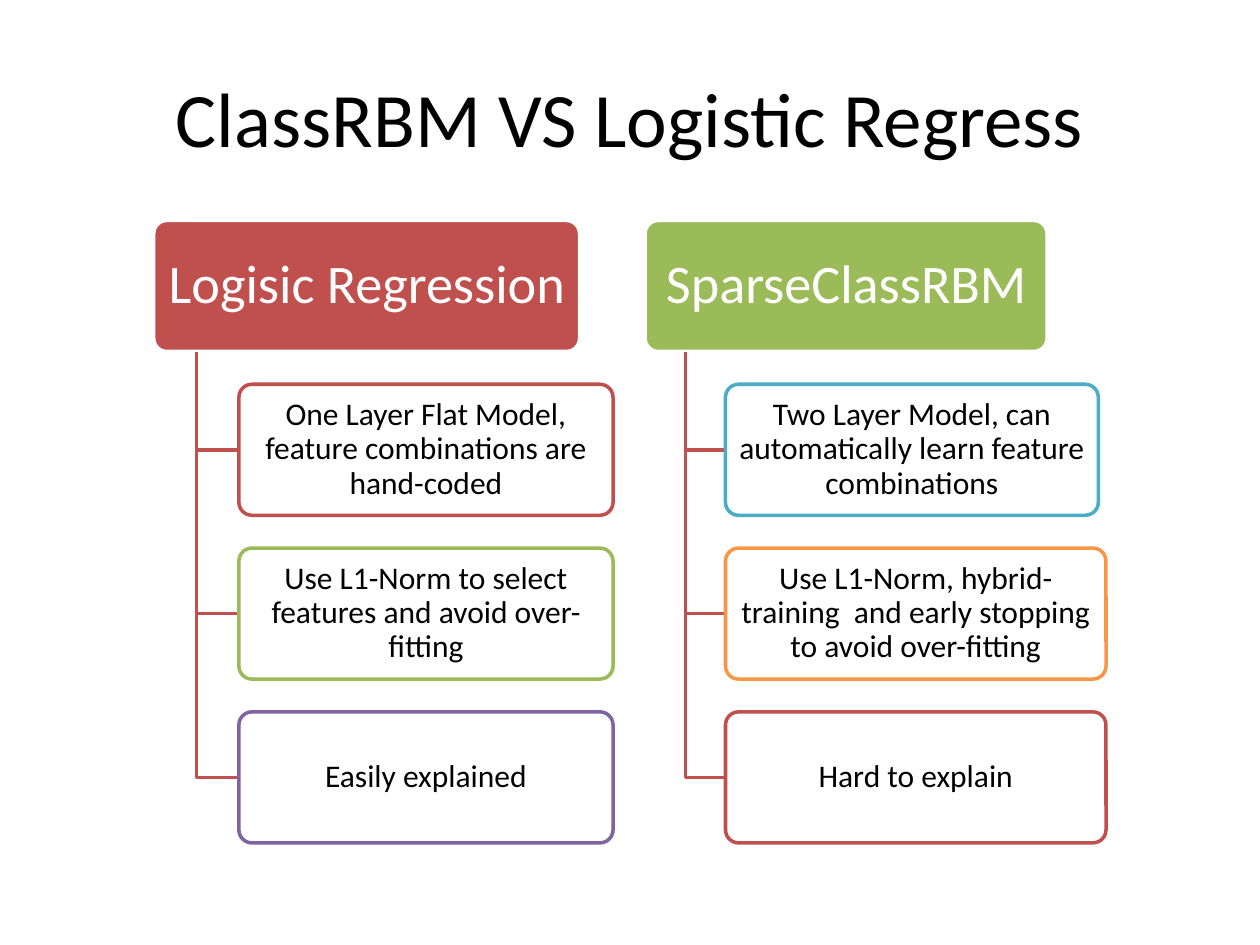
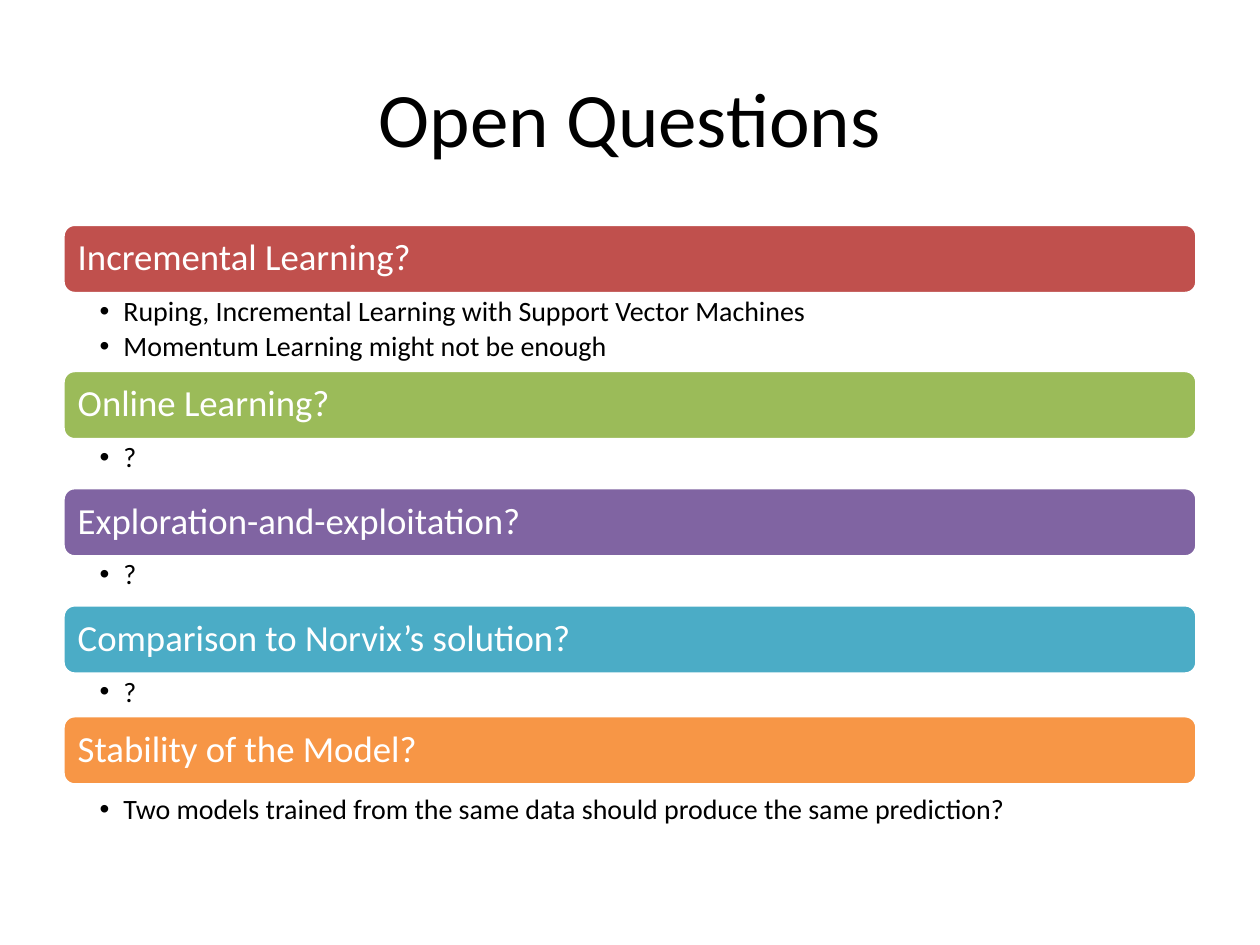
from pptx import Presentation
from pptx.dml.color import RGBColor as RGB
from pptx.enum.shapes import MSO_SHAPE as Shape
from pptx.enum.text import MSO_ANCHOR as Anchor, PP_ALIGN as Align
from pptx.oxml.ns import qn
from pptx.util import Inches, Pt
from lxml.etree import SubElement

FONT = "Calibri"
BLACK = RGB(0x00, 0x00, 0x00)
WHITE = RGB(0xFF, 0xFF, 0xFF)
RED = RGB(0xC0, 0x50, 0x4D)
GREEN = RGB(0x9B, 0xBB, 0x59)
PURPLE = RGB(0x80, 0x64, 0xA2)
TEAL = RGB(0x4B, 0xAC, 0xC6)
ORANGE = RGB(0xF7, 0x96, 0x46)

# Comparison trees: box height, top of the heads, distance between rows
BOX, HEAD, STEP = 1.04, 1.75, 1.3
# Question bars: height and top of the first one
BAR, FIRST = 0.55, 1.78


def add_slide(prs, title):
    slide = prs.slides.add_slide(prs.slide_layouts[5])
    head = slide.shapes.title
    head.left, head.top = Inches(0.5), Inches(0.3)
    head.width, head.height = Inches(9), Inches(1.25)
    frame = head.text_frame
    frame.text = title
    frame.vertical_anchor = Anchor.MIDDLE
    style(frame.paragraphs[0], 44, BLACK, Align.CENTER, 1.0)
    return slide


def style(para, size, color, align=Align.LEFT, lines=0.9):
    para.alignment = align
    para.line_spacing = lines
    for run in para.runs:
        run.font.name = FONT
        run.font.size = Pt(size)
        run.font.color.rgb = color


def inset(frame, left, top, right, low):
    frame.word_wrap = True
    frame.margin_left, frame.margin_top = Inches(left), Inches(top)
    frame.margin_right, frame.margin_bottom = Inches(right), Inches(low)


def add_box(slide, at, text, size, fill, line, color, pads, align, round_=0.1):
    """Rounded rectangle with its own text; pads are side and top insets."""
    box = slide.shapes.add_shape(Shape.ROUNDED_RECTANGLE, *map(Inches, at))
    box.shadow.inherit = False
    box.adjustments[0] = round_
    box.fill.solid()
    box.fill.fore_color.rgb = fill
    box.line.color.rgb = line
    box.line.width = Pt(2)
    frame = box.text_frame
    inset(frame, *pads, *pads)
    frame.vertical_anchor = Anchor.MIDDLE
    frame.text = text
    style(frame.paragraphs[0], size, color, align)


def add_elbow(slide, x, top, end, low):
    """Line down from (x, top), then right to (end, low)."""
    pen = slide.shapes.build_freeform(Inches(x), Inches(top))
    pen.add_line_segments([(Inches(x), Inches(low)),
                           (Inches(end), Inches(low))], close=False)
    elbow = pen.convert_to_shape()
    elbow.shadow.inherit = False
    elbow.fill.background()
    elbow.line.color.rgb = RED
    elbow.line.width = Pt(2)


def add_tree(slide, left, width, name, color, points):
    """Head box with a column of linked points (text, width, line colour)."""
    add_box(slide, (left, HEAD, width, BOX), name, 31, color, WHITE, WHITE,
            (0.06, 0.04), Align.CENTER)
    stem, edge = left + width / 10, left + width / 5
    for row, (text, wide, line) in enumerate(points, 1):
        top = HEAD + row * STEP
        add_elbow(slide, stem, HEAD + BOX, edge, top + BOX / 2)
        add_box(slide, (edge, top, wide, BOX), text, 18, WHITE, line, BLACK,
                (0.04, 0.03), Align.CENTER)


def add_list(slide, top, height, items):
    box = slide.shapes.add_textbox(Inches(0.5), Inches(top),
                                   Inches(9), Inches(height))
    frame = box.text_frame
    inset(frame, 0.29, 0.03, 0.16, 0.03)
    frame.text = "\n".join(items)
    for para in frame.paragraphs:
        props = para._p.get_or_add_pPr()
        props.set("marL", str(Inches(0.19)))
        props.set("indent", str(-Inches(0.19)))
        SubElement(props, qn("a:buFont")).set("typeface", "Arial")
        SubElement(props, qn("a:buChar")).set("char", "•")
        style(para, 16, BLACK)
        para.space_after = Pt(3)


def add_asks(slide, asks):
    """Stack of bars, each followed by its list; lift raises one bar."""
    top = FIRST
    for name, color, lift, items in asks:
        add_box(slide, (0.5, top - lift, 9, BAR), name, 21, color, WHITE,
                WHITE, (0.09, 0.09), Align.LEFT, 0.17)
        height = 0.15 + 0.23 * len(items)
        add_list(slide, top + BAR, height, items)
        top += BAR + height


def main():
    prs = Presentation()
    prs.slide_width, prs.slide_height = Inches(10), Inches(7.5)

    slide = add_slide(prs, "ClassRBM VS Logistic Regress")
    add_tree(slide, 1.22, 3.38, "Logisic Regression", RED, [
        ("One Layer Flat Model, feature combinations are hand-coded",
         2.97, RED),
        ("Use L1-Norm to select features and avoid over-fitting",
         2.97, GREEN),
        ("Easily explained", 2.97, PURPLE),
    ])
    add_tree(slide, 5.12, 3.19, "SparseClassRBM", GREEN, [
        ("Two Layer Model, can automatically learn feature combinations",
         2.96, TEAL),
        ("Use L1-Norm, hybrid-training  and early stopping "
         "to avoid over-fitting", 3.02, ORANGE),
        ("Hard to explain", 3.02, RED),
    ])

    slide = add_slide(prs, "Open Questions")
    add_asks(slide, [
        ("Incremental Learning?", RED, 0,
         ["Ruping, Incremental Learning with Support Vector Machines",
          "Momentum Learning might not be enough"]),
        ("Online Learning?", GREEN, 0, ["?"]),
        ("Exploration-and-exploitation?", PURPLE, 0, ["?"]),
        ("Comparison to Norvix’s solution?", TEAL, 0, ["?"]),
        ("Stability of the Model?", ORANGE, 0.05,
         ["Two models trained from the same data should produce "
          "the same prediction?"]),
    ])
    prs.save("out.pptx")


if __name__ == "__main__":
    main()
